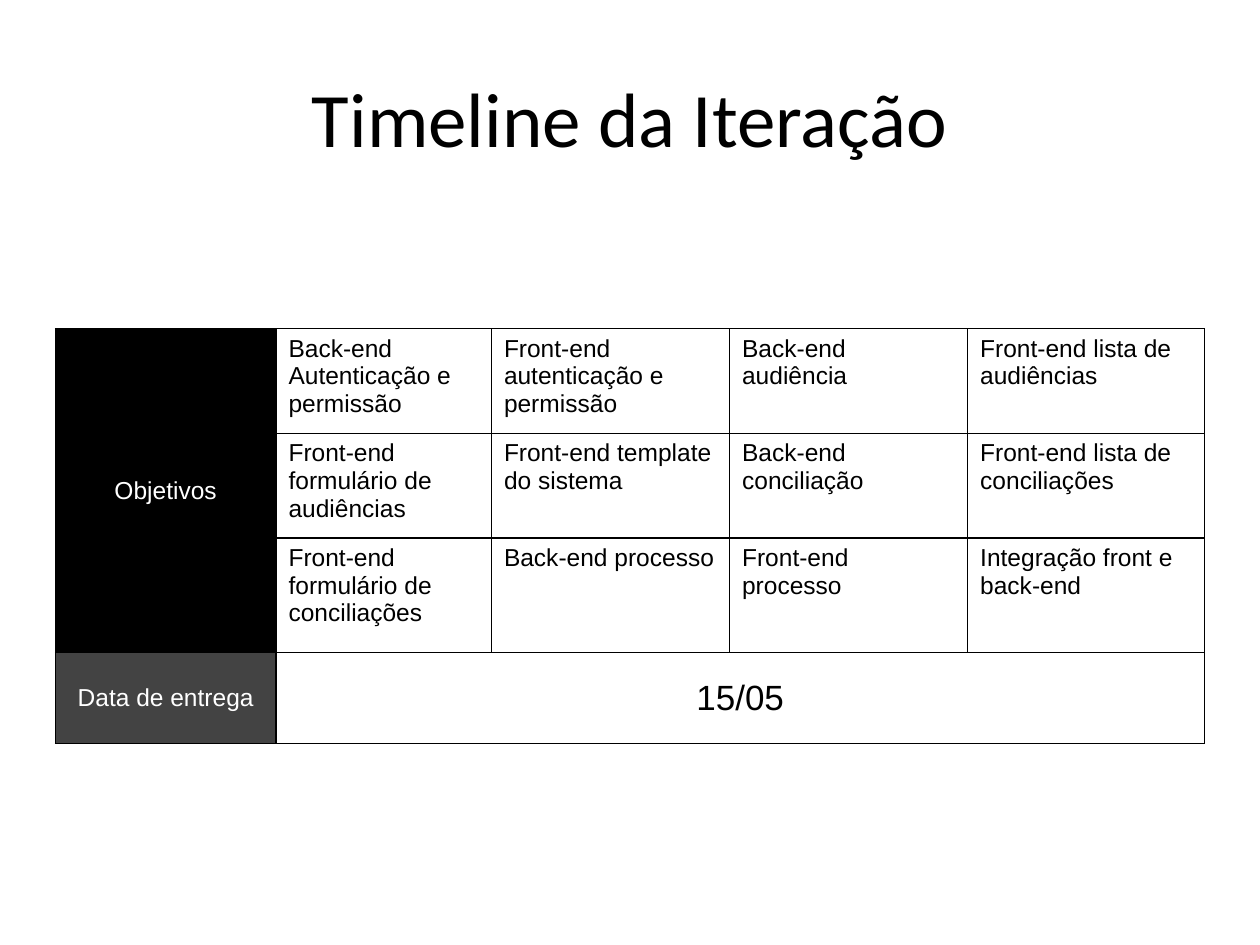
"""Build the iteration timeline slide."""
from lxml import etree
from pptx import Presentation
from pptx.dml.color import RGBColor
from pptx.enum import text
from pptx.oxml import ns
from pptx.util import Inches, Pt

BLACK = RGBColor(0x00, 0x00, 0x00)
GRAY = RGBColor(0x43, 0x43, 0x43)
WHITE = RGBColor(0xFF, 0xFF, 0xFF)
COLS = [1.75, 1.71, 1.89, 1.89, 1.88]
ROWS = [0.83, 0.83, 0.91, 0.72]
GOALS = [
    ["Back-end Autenticação e permissão", "Front-end autenticação e permissão",
     "Back-end audiência", "Front-end lista de audiências"],
    ["Front-end formulário de audiências", "Front-end template do sistema",
     "Back-end conciliação", "Front-end lista de conciliações"],
    ["Front-end formulário de conciliações", "Back-end processo",
     "Front-end processo", "Integração front e back-end"],
]


def write(frame, words, size=14, font="Arial", color=BLACK, center=False):
    """Write one formatted paragraph into a text frame."""
    para = frame.paragraphs[0]
    para.alignment = text.PP_ALIGN.CENTER if center else text.PP_ALIGN.LEFT
    run = para.add_run()
    run.text = words
    run.font.size = Pt(size)
    run.font.name = font
    run.font.color.rgb = color


def frame_cell(cell, fill):
    """Fill a cell and draw a thin black border on its four sides."""
    props = cell._tc.get_or_add_tcPr()
    for side in ("a:lnL", "a:lnR", "a:lnT", "a:lnB"):
        line = etree.SubElement(props, ns.qn(side), w=str(Pt(0.75)))
        solid = etree.SubElement(line, ns.qn("a:solidFill"))
        etree.SubElement(solid, ns.qn("a:srgbClr"), val=str(BLACK))
    cell.fill.solid()
    cell.fill.fore_color.rgb = fill


def put(cell, words, fill=WHITE, **form):
    """Set the text and fill of a cell, centred cells also vertically."""
    cell.fill.fore_color.rgb = fill
    if form.get("center"):
        cell.vertical_anchor = text.MSO_ANCHOR.MIDDLE
    write(cell.text_frame, words, **form)


def add_title(slide, words):
    """Place and write the slide title."""
    title = slide.shapes.title
    title.left, title.top = Inches(0.5), Inches(0.3)
    title.width, title.height = Inches(9), Inches(1.25)
    title.text_frame.vertical_anchor = text.MSO_ANCHOR.MIDDLE
    write(title.text_frame, words, size=44, font="Calibri", center=True)


def add_grid(slide):
    """Add the bordered table and return it."""
    shape = slide.shapes.add_table(
        len(ROWS), len(COLS), Inches(0.44), Inches(2.61),
        Inches(sum(COLS)), Inches(sum(ROWS)))
    table = shape.table
    table.first_row = table.horz_banding = False
    for col, width in zip(table.columns, COLS):
        col.width = Inches(width)
    for row, height in zip(table.rows, ROWS):
        row.height = Inches(height)
    for cell in table.iter_cells():
        frame_cell(cell, WHITE)
    return table


def fill_grid(table):
    """Merge the heading cells and write the whole table."""
    last = len(GOALS)
    table.cell(0, 0).merge(table.cell(last - 1, 0))
    table.cell(last, 1).merge(table.cell(last, len(COLS) - 1))
    put(table.cell(0, 0), "Objetivos", BLACK, color=WHITE, center=True)
    put(table.cell(last, 0), "Data de entrega", GRAY, color=WHITE, center=True)
    put(table.cell(last, 1), "15/05", size=20, center=True)
    for row, goals in enumerate(GOALS):
        for col, goal in enumerate(goals, 1):
            put(table.cell(row, col), goal)


def main():
    """Build and save the slide."""
    deck = Presentation()
    deck.slide_width, deck.slide_height = Inches(10), Inches(7.5)
    slide = deck.slides.add_slide(deck.slide_layouts[5])
    add_title(slide, "Timeline da Iteração")
    fill_grid(add_grid(slide))
    deck.save("out.pptx")


if __name__ == "__main__":
    main()
